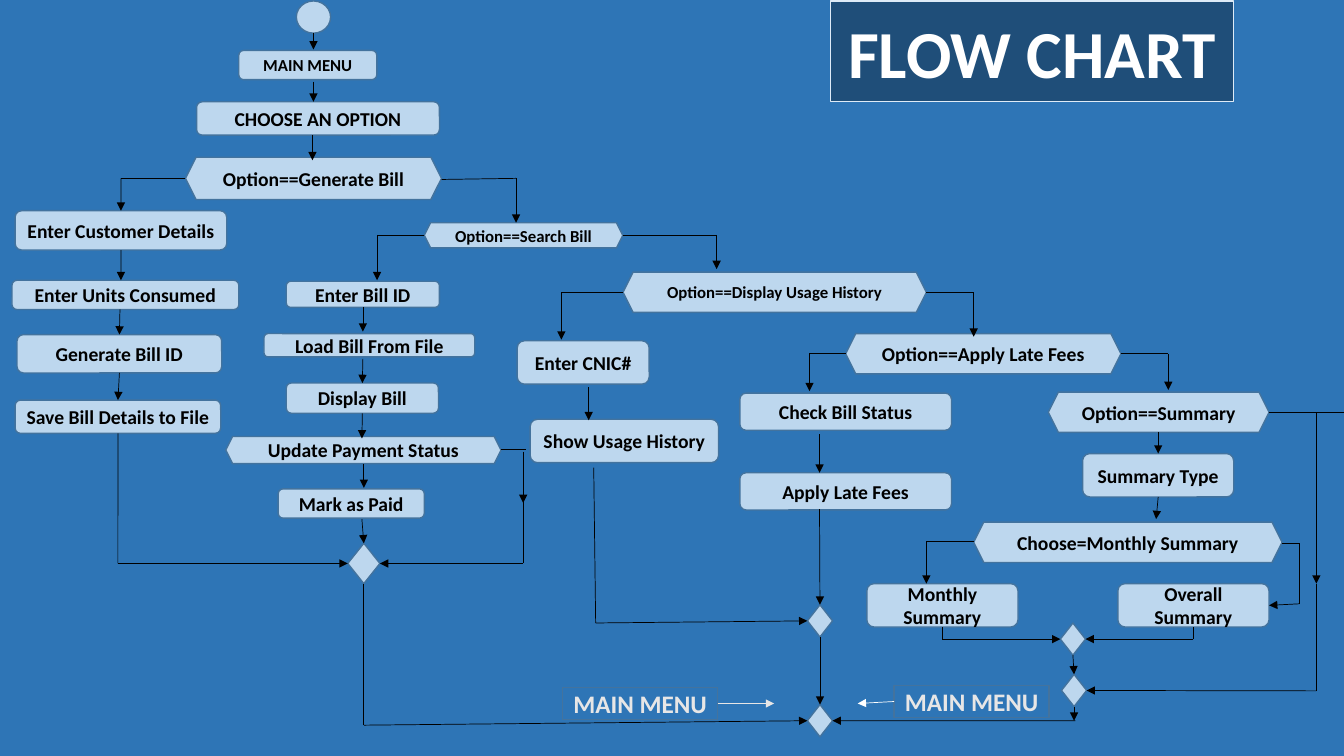
import itertools

import pptx
import pptx.dml.color
import pptx.enum.shapes
import pptx.enum.text
import pptx.oxml
import pptx.oxml.ns
import pptx.util

Pt = pptx.util.Pt
KINDS = pptx.enum.shapes.MSO_SHAPE
BOX, CHOICE, MERGE = KINDS.ROUNDED_RECTANGLE, KINDS.HEXAGON, KINDS.FLOWCHART_DECISION
COLORS = {
    "background": "2E75B6", "node": "BDD7EE", "border": "43739E", "title": "1F4E79",
    "title_border": "DEEBF7", "black": "000000", "white": "FFFFFF", "label": "E7E6E6",
}
NODES = [
    (KINDS.OVAL, 211.7, 0.7, 24.5, 23, "", 14),
    (BOX, 170.6, 36, 98.6, 20.9, "MAIN MENU", 12),
    (BOX, 140.4, 72.7, 173.5, 23.8, "CHOOSE AN OPTION", 14),
    (CHOICE, 132.5, 112.3, 182.9, 30.2, "Option==Generate Bill", 14),
    (BOX, 10.8, 150.5, 151.2, 28.1, "Enter Customer Details", 14),
    (BOX, 8.6, 200.2, 162, 20.9, "Enter Units Consumed", 14),
    (BOX, 12.2, 239, 146.2, 27.4, "Generate Bill ID", 14),
    (BOX, 10.8, 285.8, 146.9, 23.8, "Save Bill Details to File", 14),
    (CHOICE, 303.1, 159.1, 141.8, 18, "Option==Search Bill", 12),
    (BOX, 204.5, 200.9, 109.4, 18.7, "Enter Bill ID", 14),
    (BOX, 188.6, 238.3, 150.5, 16.6, "Load Bill From File", 14),
    (BOX, 204.5, 273.6, 108.7, 21.6, "Display Bill", 14),
    (CHOICE, 161.3, 311.8, 196.6, 19.4, "Update Payment Status", 14),
    (BOX, 198.7, 349.2, 104.4, 20.9, "Mark as Paid", 14),
    (MERGE, 248.4, 388.1, 23, 28.8, "", 14),
    (CHOICE, 445, 194.4, 216.7, 28.8, "Option==Display Usage History", 12),
    (BOX, 369.4, 243.4, 94.3, 31, "Enter CNIC#", 14),
    (BOX, 378.7, 299.5, 134.6, 31, "Show Usage History", 14),
    (CHOICE, 604.1, 238.3, 196.6, 28.8, "Option==Apply Late Fees", 14),
    (BOX, 528.5, 280.8, 151.2, 26.6, "Check Bill Status", 14),
    (BOX, 528.5, 337.7, 151.2, 26.6, "Apply Late Fees", 14),
    (CHOICE, 748.8, 280.1, 157.7, 28.8, "Option==Summary", 14),
    (BOX, 773.3, 324, 108, 31, "Summary Type", 14),
    (CHOICE, 695.5, 373, 220.3, 28.8, "Choose=Monthly Summary", 14),
    (BOX, 798.5, 416.9, 108, 31, "Overall Summary", 14),
    (BOX, 619.2, 416.9, 108, 31, "Monthly Summary", 14),
    (MERGE, 757.4, 445, 18, 23, "", 14),
    (MERGE, 758.2, 481.7, 18, 23, "", 14),
    (MERGE, 576.7, 432, 18, 23, "", 14),
    (MERGE, 576.7, 503.3, 18, 23, "", 14),
]
ARROWS = [
    [(223.9, 23.8), (223.9, 35.3)],
    [(223.9, 58.3), (223.9, 72.7)],
    [(223.2, 96.5), (223.2, 114.5)],
    [(132.5, 127.4), (86.4, 127.4), (86.4, 150.5)],
    [(86.4, 179.3), (86.4, 200.2)],
    [(85.7, 221), (86.4, 239.8)],
    [(85.7, 267.1), (85, 285.8)],
    [(83.5, 311.8), (84.2, 402.5), (248.4, 402.5)],
    [(315.4, 128.2), (368.6, 127.4), (368.6, 159.1)],
    [(303.1, 167.8), (269.3, 167.8), (269.3, 200.2)],
    [(259.2, 220.3), (259.2, 236.9)],
    [(259.2, 256.3), (259.2, 274.3)],
    [(258.5, 296.6), (258.5, 313.2)],
    [(259.9, 331.2), (259.9, 348.5)],
    [(258.5, 370.8), (258.5, 388.1)],
    [(373.7, 322.6), (373.7, 359.3)],
    [(373.7, 356.4), (373.7, 402.5), (271.4, 402.5)],
    [(259.9, 416.9), (259.9, 518), (576, 516.2)],
    [(444.9, 167.8), (511.9, 167.8), (511.9, 192.2)],
    [(445, 208.8), (401, 208.8), (401, 242.6)],
    [(420.5, 276.5), (420.5, 300.2)],
    [(424.1, 334.1), (425.5, 445), (576, 445)],
    [(661.7, 208.8), (695.5, 208.8), (695.5, 240.5)],
    [(604.1, 252.7), (578.2, 252.7), (578.2, 279.4)],
    [(585.4, 310.3), (585.4, 337.7)],
    [(585.4, 363.6), (585.4, 432)],
    [(585.4, 455), (585.4, 503.3)],
    [(800.6, 252.7), (834.5, 252.7), (834.5, 278.6)],
    [(827.3, 308.9), (827.3, 324)],
    [(825.8, 355), (825.8, 370.8)],
    [(695.5, 386.6), (661.7, 386.6), (661.7, 416.9)],
    [(915.8, 388.1), (928.1, 388.1), (928.1, 431.3), (906.5, 432.4)],
    [(673.2, 447.9), (673.2, 456.5), (757.4, 456.5)],
    [(852.5, 447.9), (852.5, 456.5), (775.4, 456.5)],
    [(766.4, 468), (767.2, 481.7)],
    [(767.2, 504.7), (767.2, 514.8)],
    [(768.2, 514.8), (594.7, 514.8)],
    [(940.3, 294.5), (940.3, 416.9)],
    [(940.3, 416.9), (940.3, 493.5), (776.2, 493.5)],
]
PLAIN_LINES = [
    [(357.9, 321.1), (375.8, 321.1)],
    [(906.5, 294.5), (960, 294.5)],
]
MENU_LABELS = [(401.8, 491), (638.6, 489.6)]
LABEL_ARROWS = [
    ([(512.7, 502.5), (553, 502.5)], "label"),
    ([(638.6, 501.1), (612.7, 502.5)], "white"),
]


class FlowChart:
    font_name = "Calibri"
    join_distance = 2.5

    def __init__(self, presentation):
        self.slide = presentation.slides.add_slide(presentation.slide_layouts[5])
        self.sides = []
        self.slide.background.fill.solid()
        self.slide.background.fill.fore_color.rgb = self.color("background")

    def color(self, name):
        return pptx.dml.color.RGBColor.from_string(COLORS[name])

    def dress(self, shape, text, size, fill, border, font_color):
        shape.fill.solid()
        shape.fill.fore_color.rgb = self.color(fill)
        shape.line.color.rgb = self.color(border)
        shape.line.width = Pt(1)
        if not text:
            return
        frame = shape.text_frame
        frame.text = text
        frame.word_wrap = True
        frame.auto_size = pptx.enum.text.MSO_AUTO_SIZE.NONE
        frame.vertical_anchor = pptx.enum.text.MSO_ANCHOR.MIDDLE
        frame.margin_left = frame.margin_right = Pt(4)
        paragraph = frame.paragraphs[0]
        paragraph.alignment = pptx.enum.text.PP_ALIGN.CENTER
        paragraph.font.name = self.font_name
        paragraph.font.size = Pt(size)
        paragraph.font.bold = True
        paragraph.font.color.rgb = self.color(font_color)

    def title(self, text, left, top, width, height):
        shape = self.slide.shapes.title
        shape.left, shape.top, shape.width, shape.height = map(Pt, (left, top, width, height))
        self.dress(shape, text, 48, "title", "title_border", "white")

    def node(self, kind, left, top, width, height, text, size, fill="node", font_color="black"):
        shape = self.slide.shapes.add_shape(kind, *map(Pt, (left, top, width, height)))
        shape.shadow.inherit = False
        self.dress(shape, text, size, fill, "border", font_color)
        if kind in (BOX, MERGE, KINDS.RECTANGLE):
            middle, center = left + width / 2, top + height / 2
            points = [(middle, top), (left, center), (middle, top + height), (left + width, center)]
            self.sides += [(point, shape, site) for site, point in enumerate(points)]

    def join(self, connect, point):
        for (x, y), shape, site in self.sides:
            if max(abs(x - point[0]), abs(y - point[1])) <= self.join_distance:
                connect(shape, site)
                return

    def route(self, points, color="black", arrow=True):
        connectors = []
        for start, end in itertools.pairwise(points):
            connector = self.slide.shapes.add_connector(
                pptx.enum.shapes.MSO_CONNECTOR.STRAIGHT, *map(Pt, start + end))
            connector.line.color.rgb = self.color(color)
            connector.line.width = Pt(0.5)
            properties = connector._element.spPr
            properties.append(pptx.oxml.parse_xml(
                "<a:effectLst %s/>" % pptx.oxml.ns.nsdecls("a")))
            connectors.append(connector)
        self.join(connectors[0].begin_connect, points[0])
        self.join(connectors[-1].end_connect, points[-1])
        if arrow:
            connectors[-1].line._get_or_add_ln().append(pptx.oxml.parse_xml(
                '<a:tailEnd %s type="triangle"/>' % pptx.oxml.ns.nsdecls("a")))


def main():
    presentation = pptx.Presentation()
    presentation.slide_width, presentation.slide_height = Pt(960), Pt(540)
    chart = FlowChart(presentation)
    chart.title("FLOW CHART", 593.3, 0.7, 288, 72)
    for node in NODES:
        chart.node(*node)
    for left, top in MENU_LABELS:
        chart.node(KINDS.RECTANGLE, left, top, 110.9, 23, "MAIN MENU", 18, "background", "label")
    for points in ARROWS:
        chart.route(points)
    for points in PLAIN_LINES:
        chart.route(points, arrow=False)
    for points, color in LABEL_ARROWS:
        chart.route(points, color)
    presentation.save("out.pptx")


if __name__ == "__main__":
    main()
